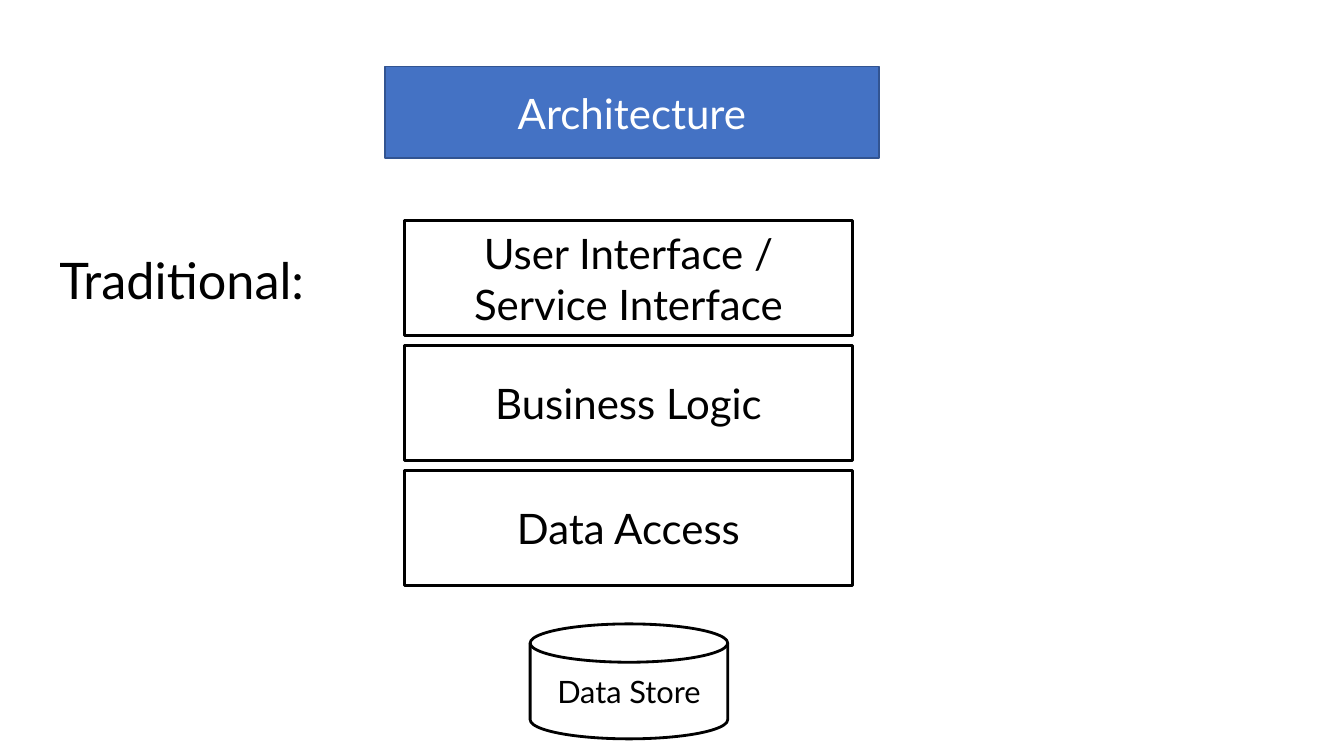
from pptx import Presentation
from pptx.dml.color import RGBColor
from pptx.enum.shapes import MSO_SHAPE
from pptx.enum.text import MSO_ANCHOR, MSO_AUTO_SIZE, PP_ALIGN
from pptx.util import Emu, Pt

EMU_PER_PX = 9144  # 100 px to the inch
FONT = "Lato"
BLACK = "000000"
WHITE = "FFFFFF"
BLUE = "4472C4"
DARK_BLUE = "325491"

LAYERS = ["User Interface / Service Interface", "Business Logic", "Data Access"]
LAYER_LEFT, LAYER_TOP = 401, 219
LAYER_WIDTH, LAYER_HEIGHT = 445, 114
LAYER_STEP = 124


def px(length):
    return Emu(length * EMU_PER_PX)


def color(hex_string):
    return RGBColor.from_string(hex_string)


def set_text(shape, text, size, font_color, align):
    para = shape.text_frame.paragraphs[0]
    para.text = text
    para.alignment = align
    span = para.runs[0]
    span.font.name = FONT
    span.font.size = Pt(size)
    span.font.color.rgb = color(font_color)
    return para


def add_box(page, kind, bounds, text, size=30, font_color=BLACK,
            fill=None, line=BLACK, line_width=2):
    box = page.shapes.add_shape(kind, *map(px, bounds))
    box.shadow.inherit = False
    if fill:
        box.fill.solid()
        box.fill.fore_color.rgb = color(fill)
    else:
        box.fill.background()
    box.line.color.rgb = color(line)
    box.line.width = Pt(line_width)
    box.text_frame.word_wrap = True
    box.text_frame.vertical_anchor = MSO_ANCHOR.MIDDLE
    set_text(box, text, size, font_color, PP_ALIGN.CENTER)


def add_label(page, bounds, text, size):
    label = page.shapes.add_textbox(*map(px, bounds))
    label.text_frame.word_wrap = True
    label.text_frame.auto_size = MSO_AUTO_SIZE.SHAPE_TO_FIT_TEXT
    para = set_text(label, text, size, BLACK, PP_ALIGN.LEFT)
    para.line_spacing = 1.5


def main():
    deck = Presentation()
    deck.slide_width, deck.slide_height = Emu(12192000), px(750)
    page = deck.slides.add_slide(deck.slide_layouts[6])

    # Title banner
    add_box(page, MSO_SHAPE.RECTANGLE, (382, 66, 490, 91), "Architecture",
            font_color=WHITE, fill=BLUE, line=DARK_BLUE, line_width=1)

    # Stack of layers
    for index, layer in enumerate(LAYERS):
        top = LAYER_TOP + index * LAYER_STEP
        add_box(page, MSO_SHAPE.RECTANGLE,
                (LAYER_LEFT, top, LAYER_WIDTH, LAYER_HEIGHT), layer)

    # Data store below the stack
    add_box(page, MSO_SHAPE.FLOWCHART_MAGNETIC_DISK, (526, 619, 196, 114),
            "Data Store", size=22)

    # Side label
    add_label(page, (49, 212, 333, 89), "Traditional:", 36)

    deck.save("out.pptx")


if __name__ == "__main__":
    main()
